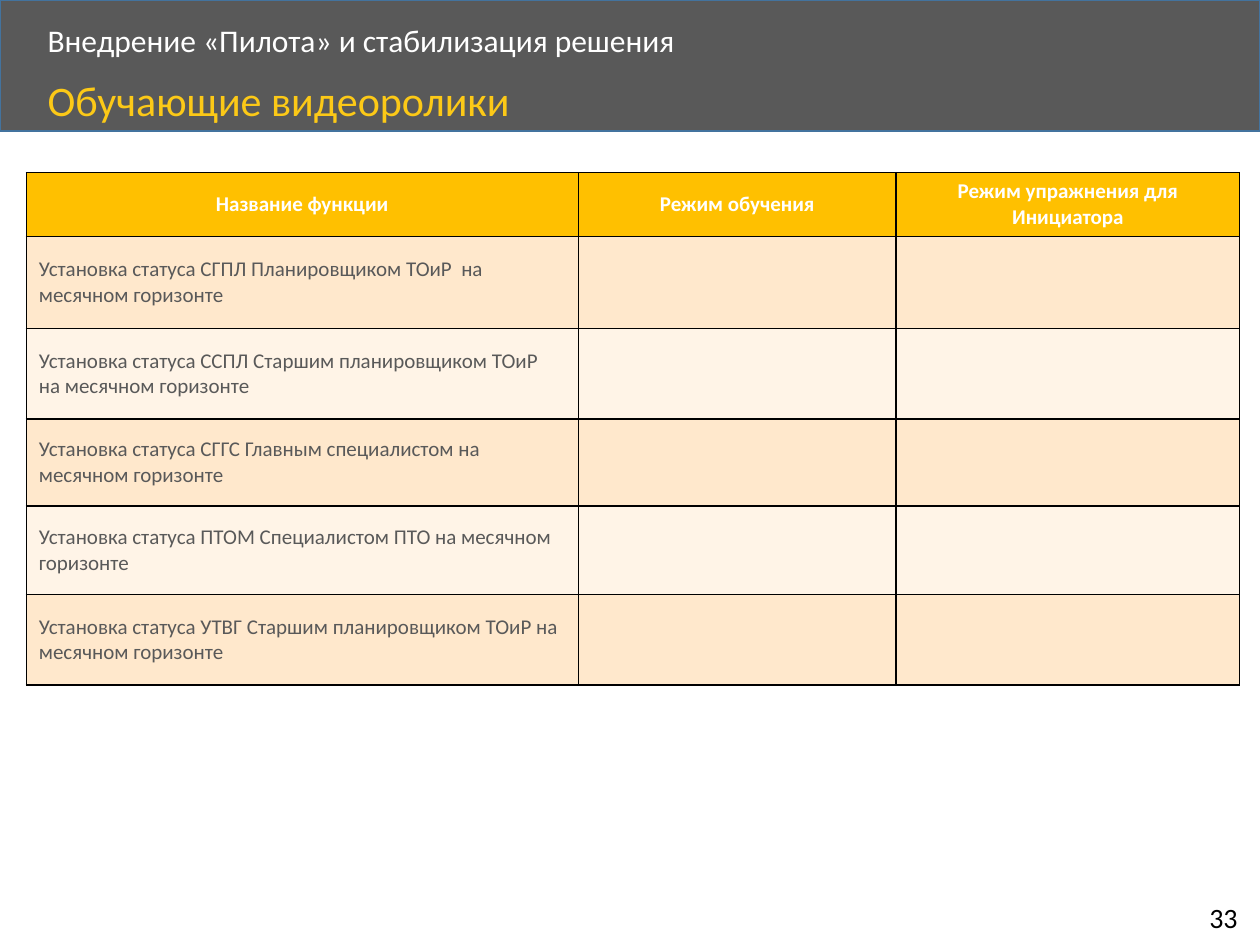
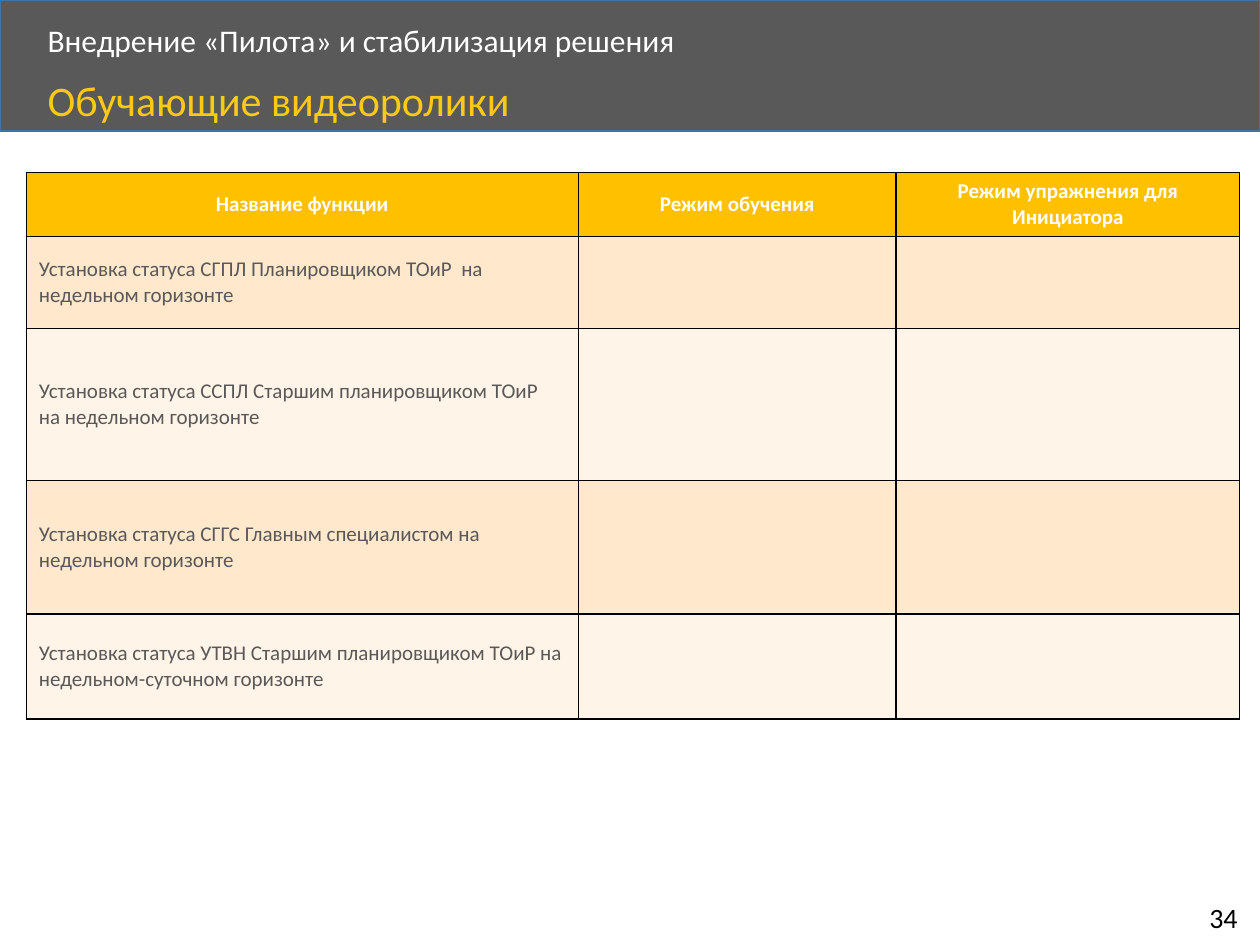
from dataclasses import dataclass

from lxml import etree
from pptx import Presentation
from pptx import util as u
from pptx.dml.color import RGBColor
from pptx.enum import shapes, text
from pptx.oxml import ns


@dataclass(frozen=True)
class Theme:
    """Colours, font and type sizes shared by the slides."""
    font: str = "Calibri"
    white: str = "FFFFFF"
    black: str = "000000"
    grey: str = "595959"
    band_line: str = "43739E"
    title: str = "FCC917"
    header: str = "FFC000"
    stripes: tuple = ("FFE8CC", "FFF4E7")
    section_size: int = 18
    title_size: int = 24
    number_size: int = 16
    table_size: int = 12


THEME = Theme()
SLIDE_W, SLIDE_H = 25.4, 19.05
BAND_BOX = (0, 0, SLIDE_W, 2.64)
NUMBER_BOX = (24.13, 18.03, 1.17, 0.94)
TABLE_BOX = (0.53, 3.48, 24.46)
COL_SHARES = (0.455, 0.262, 0.283)
HEADER_H = 1.29

SECTION = "Внедрение «Пилота» и стабилизация решения"
TITLE = "Обучающие видеоролики"
HEADERS = ("Название функции", "Режим обучения", "Режим упражнения для Инициатора")
MONTHLY = (
    ("Установка статуса СГПЛ Планировщиком ТОиР  на месячном горизонте", 1.85),
    ("Установка статуса ССПЛ Старшим планировщиком ТОиР  на месячном горизонте", 1.83),
    ("Установка статуса СГГС Главным специалистом на месячном горизонте", 1.75),
    ("Установка статуса ПТОМ Специалистом ПТО на месячном горизонте", 1.78),
    ("Установка статуса УТВГ Старшим планировщиком ТОиР на месячном горизонте", 1.83),
)
WEEKLY = (
    ("Установка статуса СГПЛ Планировщиком ТОиР  на недельном горизонте", 1.85),
    ("Установка статуса ССПЛ Старшим планировщиком ТОиР  на недельном горизонте", 3.07),
    ("Установка статуса СГГС Главным специалистом на недельном горизонте", 2.69),
    ("Установка статуса УТВН Старшим планировщиком ТОиР на недельном-суточном горизонте", 2.11),
)


def rgb(value):
    """Turn a hex string into a colour."""
    return RGBColor.from_string(value)


def write(tf, words, *, size, color, bold=False, align=text.PP_ALIGN.LEFT, spacing=None):
    """Write one formatted paragraph into a text frame."""
    p = tf.paragraphs[0]
    p.alignment = align
    if spacing:
        p.line_spacing = spacing
    r = p.add_run()
    r.text = words
    r.font.name = THEME.font
    r.font.size = u.Pt(size)
    r.font.bold = bold
    r.font.color.rgb = rgb(color)


def add_text(s, box, words, *, wrap=True, anchor=text.MSO_ANCHOR.TOP, **fmt):
    """Add a text box and return its frame."""
    tf = s.shapes.add_textbox(*map(u.Cm, box)).text_frame
    tf.word_wrap = wrap
    tf.vertical_anchor = anchor
    write(tf, words, **fmt)
    return tf


def add_band(s, box):
    """Draw the title band with the section name above the slide title."""
    x, y, w, h = box
    sp = s.shapes.add_shape(shapes.MSO_SHAPE.RECTANGLE, *map(u.Cm, box))
    sp.shadow.inherit = False
    sp.fill.solid()
    sp.fill.fore_color.rgb = rgb(THEME.grey)
    sp.line.color.rgb = rgb(THEME.band_line)
    sp.line.width = u.Pt(1)
    add_text(s, (x + 0.71, y + 0.36, w - 4.9, 0.97), SECTION, size=THEME.section_size,
             color=THEME.white, spacing=0.9, anchor=text.MSO_ANCHOR.MIDDLE)
    add_text(s, (x + 0.71, y + 1.5, w - 3.38, h - 1.5), TITLE, size=THEME.title_size,
             color=THEME.title, spacing=0.9)


def add_number(s, box, number):
    """Add the slide number."""
    tf = add_text(s, box, str(number), wrap=False, size=THEME.number_size, color=THEME.black)
    tf.auto_size = text.MSO_AUTO_SIZE.SHAPE_TO_FIT_TEXT


def style_cell(cell, fill):
    """Give a cell its borders, fill and vertical centring."""
    tc_pr = cell._tc.get_or_add_tcPr()
    for side in "LRTB":
        ln = etree.SubElement(tc_pr, ns.qn(f"a:ln{side}"), w=str(u.Pt(1)))
        solid = etree.SubElement(ln, ns.qn("a:solidFill"))
        etree.SubElement(solid, ns.qn("a:srgbClr"), val=THEME.black)
    cell.fill.solid()
    cell.fill.fore_color.rgb = rgb(fill)
    cell.vertical_anchor = text.MSO_ANCHOR.MIDDLE


def add_functions_table(s, box, functions):
    """Add the table of functions with its header and striped rows."""
    x, y, w = box
    heights = [HEADER_H, *(h for _, h in functions)]
    frame = s.shapes.add_table(len(heights), len(HEADERS),
                               *map(u.Cm, (x, y, w, sum(heights))))
    table = frame.table
    table.horz_banding = False
    for col, share in zip(table.columns, COL_SHARES):
        col.width = u.Cm(w * share)
    for i, (row, height) in enumerate(zip(table.rows, heights)):
        row.height = u.Cm(height)
        for cell in row.cells:
            style_cell(cell, THEME.stripes[(i - 1) % 2] if i else THEME.header)
    for j, words in enumerate(HEADERS):
        write(table.cell(0, j).text_frame, words, size=THEME.table_size,
              color=THEME.white, bold=True, align=text.PP_ALIGN.CENTER)
    for i, (words, _) in enumerate(functions, 1):
        write(table.cell(i, 0).text_frame, words, size=THEME.table_size, color=THEME.grey)


def add_videos_slide(prs, number, functions):
    """Build one slide listing the training videos."""
    s = prs.slides.add_slide(prs.slide_layouts[6])
    add_band(s, BAND_BOX)
    add_number(s, NUMBER_BOX, number)
    add_functions_table(s, TABLE_BOX, functions)


def main():
    """Build and save the presentation."""
    prs = Presentation()
    prs.slide_width, prs.slide_height = u.Cm(SLIDE_W), u.Cm(SLIDE_H)
    for number, functions in enumerate((MONTHLY, WEEKLY), 33):
        add_videos_slide(prs, number, functions)
    prs.save("out.pptx")


if __name__ == "__main__":
    main()
